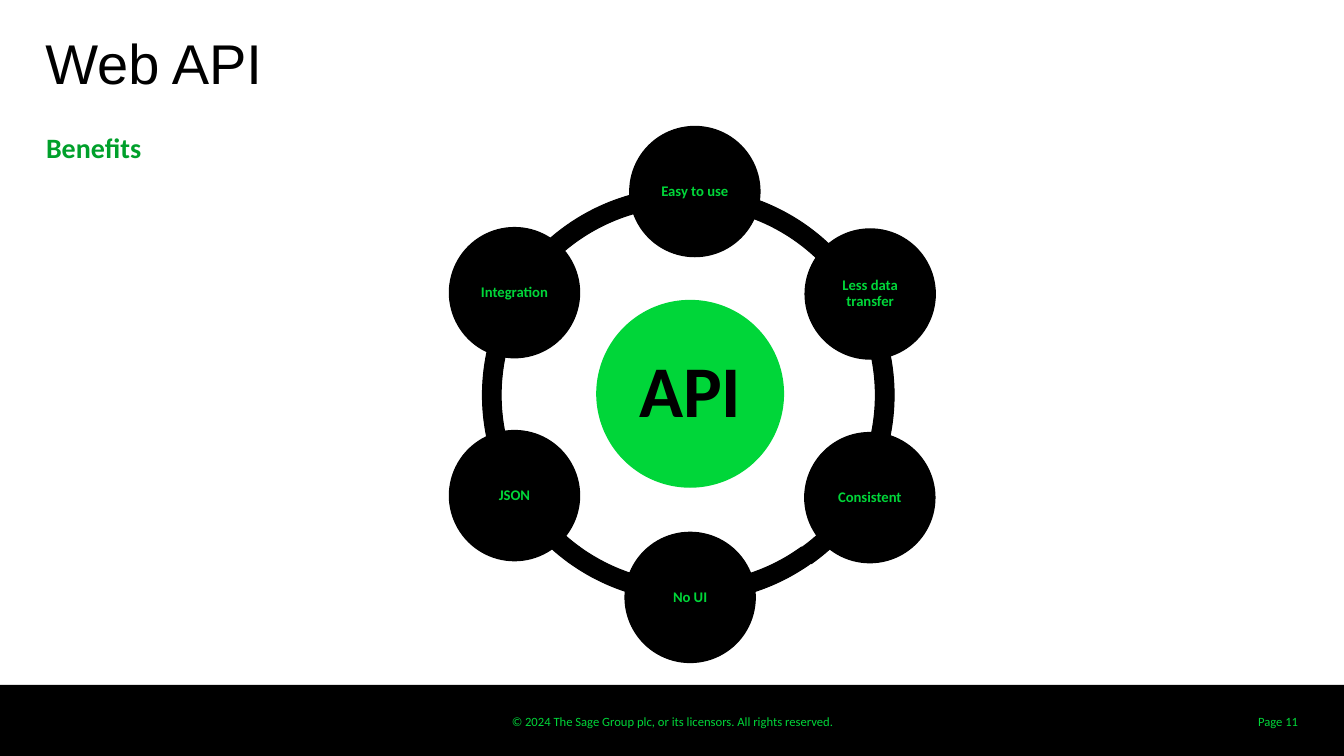
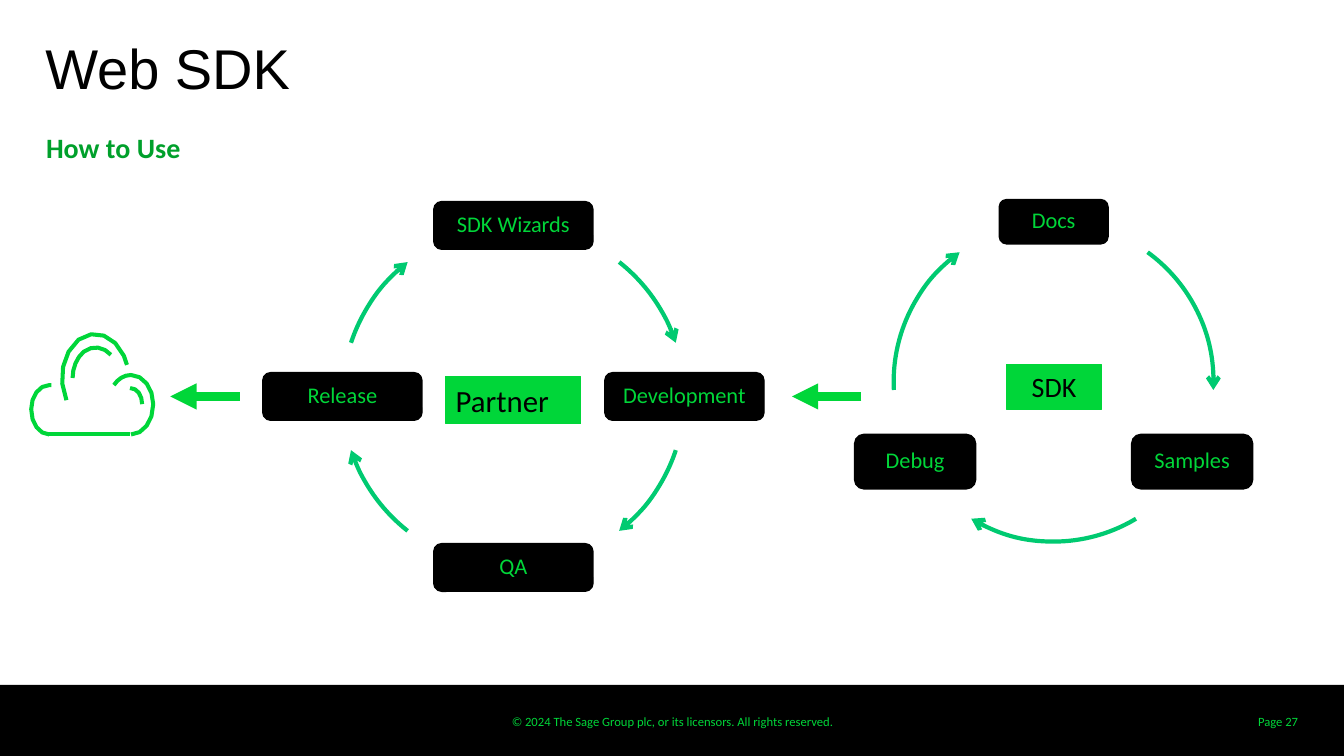
from math import cos, radians, sin

from lxml import etree
from pptx import Presentation
from pptx.dml.color import RGBColor
from pptx.enum.shapes import MSO_CONNECTOR, MSO_SHAPE
from pptx.enum.text import MSO_ANCHOR, PP_ALIGN
from pptx.oxml.ns import qn
from pptx.util import Inches, Pt

BLACK = RGBColor(0x00, 0x00, 0x00)
GREEN = RGBColor(0x00, 0xD6, 0x39)
DARK_GREEN = RGBColor(0x00, 0xA0, 0x2B)
ARC_GREEN = RGBColor(0x00, 0xCA, 0x71)

RECT = MSO_SHAPE.RECTANGLE
ROUNDED = MSO_SHAPE.ROUNDED_RECTANGLE
OVAL = MSO_SHAPE.OVAL
ARC = MSO_SHAPE.ARC
BLOCK_ARC = MSO_SHAPE.BLOCK_ARC
STRAIGHT = MSO_CONNECTOR.STRAIGHT
TOP, MIDDLE, BOTTOM = MSO_ANCHOR.TOP, MSO_ANCHOR.MIDDLE, MSO_ANCHOR.BOTTOM
LEFT, CENTER, RIGHT = PP_ALIGN.LEFT, PP_ALIGN.CENTER, PP_ALIGN.RIGHT

COLUMNS, ROWS = 40, 22.5
CELL = Inches(1) / 3
DEGREE = 0.6
BODY_FONT, TITLE_FONT = "Calibri", "Arial"
COPYRIGHT = "© 2024 The Sage Group plc, or its licensors. All rights reserved."

RING_SIZE, RING_THICKNESS = 12.36, 0.045
RING_ARCS = [
    (14.37, 5.55, 126, 162.83),
    (14.37, 5.55, 90, 126),
    (14.37, 5.55, 54, 90),
    (14.4, 5.55, 18.36, 54.76),
    (14.25, 5.58, 198.07, 18.09),
    (14.36, 5.58, 162.19, 198.19),
]
HUB_CENTER, HUB_SIZE = (20.54, 11.72), 5.55
BENEFIT_RADIUS, BENEFIT_SIZE = 6.06, 3.87
BENEFITS = [
    ("Easy to use", 0.14, 0.04),
    ("Less data transfer", 0.11, 0.06),
    ("Consistent", 0.1, 0.06),
    ("No UI", 0, 0),
    ("JSON", 0.02, 0),
    ("Integration", 0.02, 0.02),
]

PARTNER_STEPS = [(label, 4.74, 1.42)
                 for label in ("SDK Wizards", "Development", "QA", "Release")]
PARTNER_ARCS = [(start + turn, start + turn + 33.5)
                for turn in (0, 180) for start in (38.2, 108.3)]
SDK_STEPS = [("Docs", 3.24, 1.32), ("Samples", 3.6, 1.62), ("Debug", 3.6, 1.62)]
SDK_ARCS = [(36, 93), (149, 211), (267, 324)]

CLOUD_WIDTH = 2.9
CLOUD_STROKES = [
    [(1.53, 11.46), (1.51, 11.46), (1.49, 11.46), (1.47, 11.46),
     (1.17, 11.46), (0.93, 11.79), (0.93, 12.18),
     (0.93, 12.6), (1.17, 12.93), (1.47, 12.93)],
    [(3.9, 12.93), (4.26, 12.93), (4.56, 12.54), (4.56, 12.03),
     (4.56, 11.55), (4.26, 11.16), (3.9, 11.16),
     (3.69, 11.16), (3.51, 11.28), (3.39, 11.46)],
    [(4.23, 12.03), (4.23, 11.76), (4.08, 11.55), (3.87, 11.55)],
    [(3.78, 10.86), (3.75, 10.77), (3.72, 10.68), (3.69, 10.59),
     (3.42, 9.99), (2.82, 9.75), (2.34, 10.11),
     (1.86, 10.5), (1.71, 11.28), (1.98, 11.91)],
    [(3.3, 10.56), (3.09, 10.32), (2.76, 10.26), (2.49, 10.47),
     (2.28, 10.65), (2.16, 10.95), (2.16, 11.25)],
]


def cells(*counts):
    return [round(count * CELL) for count in counts]


def around(center, width, height):
    return center[0] - width / 2, center[1] - height / 2, width, height


def on_circle(center, radius, degrees):
    angle = radians(degrees)
    return center[0] + radius * sin(angle), center[1] - radius * cos(angle)


def write(shape, text, size, color, font=BODY_FONT, bold=False, align=CENTER,
          anchor=MIDDLE, insets=(0.1, 0.05, 0.1, 0.05), spacing=None):
    frame = shape.text_frame
    frame.word_wrap = True
    frame.vertical_anchor = anchor
    (frame.margin_left, frame.margin_top,
     frame.margin_right, frame.margin_bottom) = map(Inches, insets)
    frame.text = text
    paragraph = frame.paragraphs[0]
    paragraph.alignment = align
    paragraph.line_spacing = spacing
    style = paragraph.runs[0].font
    style.name, style.size, style.bold = font, Pt(size), bold
    style.color.rgb = color


def add_text(slide, box, text, size, color, **options):
    write(slide.shapes.add_textbox(*cells(*box)), text, size, color, **options)


def add_block(slide, kind, box, color, outline=1):
    block = slide.shapes.add_shape(kind, *cells(*box))
    block.shadow.inherit = False
    block.fill.solid()
    block.fill.fore_color.rgb = color
    if outline:
        block.line.color.rgb = color
        block.line.width = Pt(outline)
    else:
        block.line.fill.background()
    return block


def style_line(shape, color, width, head=None):
    shape.line.color.rgb = color
    shape.line.width = Pt(width)
    if head:
        outline = shape.element.spPr.find(qn("a:ln"))
        etree.SubElement(outline, qn("a:tailEnd"), type=head)


def style_stroke(shape, color, width, head=None):
    shape.shadow.inherit = False
    shape.fill.background()
    style_line(shape, color, width, head)


def add_line(slide, start, end, width, head=None):
    line = slide.shapes.add_connector(STRAIGHT, *cells(*start, *end))
    style_line(line, GREEN, width, head)
    etree.SubElement(line.element.spPr, qn("a:effectLst"))


def add_arc_arrow(slide, center, radius, start, end):
    arc = slide.shapes.add_shape(ARC, *cells(*around(center, 2 * radius, 2 * radius)))
    for index, degrees in enumerate((start, end)):
        arc.adjustments[index] = (degrees - 90) % 360 * DEGREE
    style_stroke(arc, ARC_GREEN, 3, "arrow")


def bezier_points(controls, steps=4):
    points = [controls[0]]
    for first in range(0, len(controls) - 1, 3):
        segment = controls[first:first + 4]
        for step in range(1, steps + 1):
            t = step / steps
            weights = ((1 - t) ** 3, 3 * t * (1 - t) ** 2, 3 * t * t * (1 - t), t ** 3)
            points.append(tuple(sum(w * p[axis] for w, p in zip(weights, segment))
                                for axis in (0, 1)))
    return points


def add_page(deck, title, title_top, subtitle, number):
    slide = deck.slides.add_slide(deck.slide_layouts[6])
    add_block(slide, RECT, (0, 20.38, COLUMNS, ROWS - 20.38), BLACK, outline=0)
    add_text(slide, (14.76, 21.09, 10.5, 0.75), COPYRIGHT, 9, GREEN,
             anchor=BOTTOM, insets=(0, 0.05, 0, 0.05))
    add_text(slide, (1.35, title_top, 37.26, 1.95), title, 40, BLACK,
             font=TITLE_FONT, align=LEFT, anchor=TOP, insets=(0, 0, 0, 0))
    add_text(slide, (1.37, 3.75, 37.23, 1.44), subtitle, 20, DARK_GREEN,
             bold=True, align=LEFT, anchor=TOP, insets=(0, 0.05, 0, 0.05))
    add_text(slide, (36.2, 20.88, 2.73, 1.2), f"Page {number}", 9, GREEN, align=RIGHT)
    return slide


def add_ring(slide):
    for left, top, start, end in RING_ARCS:
        arc = add_block(slide, BLOCK_ARC, (left, top, RING_SIZE, RING_SIZE), BLACK, 0.75)
        for index, value in enumerate((start * DEGREE, end * DEGREE, RING_THICKNESS)):
            arc.adjustments[index] = value


def add_disc(slide, center, size, fill, text, text_size, color, inset):
    disc = add_block(slide, OVAL, around(center, size, size), fill)
    write(disc, text, text_size, color, bold=True, insets=(inset,) * 4, spacing=0.9)


def add_cycle(slide, center, radius, steps, arcs):
    for index, (label, width, height) in enumerate(steps):
        middle = on_circle(center, radius, 360 / len(steps) * index)
        step = add_block(slide, ROUNDED, around(middle, width, height), BLACK)
        write(step, label, 16, GREEN, insets=(0.07,) * 4, spacing=0.9)
    for start, end in arcs:
        add_arc_arrow(slide, center, radius, start, end)


def add_cloud(slide):
    for controls in CLOUD_STROKES:
        start, *others = [cells(*point) for point in bezier_points(controls)]
        builder = slide.shapes.build_freeform(*start)
        builder.add_line_segments(others, close=False)
        style_stroke(builder.convert_to_shape(), GREEN, CLOUD_WIDTH)
    add_line(slide, (1.47, 12.93), (3.87, 12.93), CLOUD_WIDTH)


def add_label(slide, box, text, size, align):
    label = add_block(slide, RECT, box, GREEN, 0.75)
    write(label, text, size, BLACK, align=align, anchor=TOP)


def build_benefits(deck):
    slide = add_page(deck, "Web API", 0.84, "Benefits", 11)
    add_ring(slide)
    add_disc(slide, HUB_CENTER, HUB_SIZE, GREEN, "API", 52, BLACK, 0.07)
    for index, (benefit, shift_x, shift_y) in enumerate(BENEFITS):
        x, y = on_circle(HUB_CENTER, BENEFIT_RADIUS, 360 / len(BENEFITS) * index)
        add_disc(slide, (x + shift_x, y + shift_y), BENEFIT_SIZE, BLACK,
                 benefit, 10.5, GREEN, 0.02)


def build_usage(deck):
    slide = add_page(deck, "Web SDK", 0.99, "How to Use", 27)
    add_cloud(slide)
    add_cycle(slide, (31.36, 11.36), 4.76, SDK_STEPS, SDK_ARCS)
    add_cycle(slide, (15.28, 11.8), 5.09, PARTNER_STEPS, PARTNER_ARCS)
    for start in (7.14, 25.64):
        add_line(slide, (start, 11.8), (start - 2.07, 11.8), 6.25, "triangle")
    add_label(slide, (29.96, 10.86, 2.82, 1.32), "SDK", 20, CENTER)
    add_label(slide, (13.27, 11.21, 4.02, 1.41), "Partner", 22, LEFT)


def main():
    deck = Presentation()
    deck.slide_width, deck.slide_height = cells(COLUMNS, ROWS)
    build_benefits(deck)
    build_usage(deck)
    deck.save("out.pptx")


if __name__ == "__main__":
    main()
